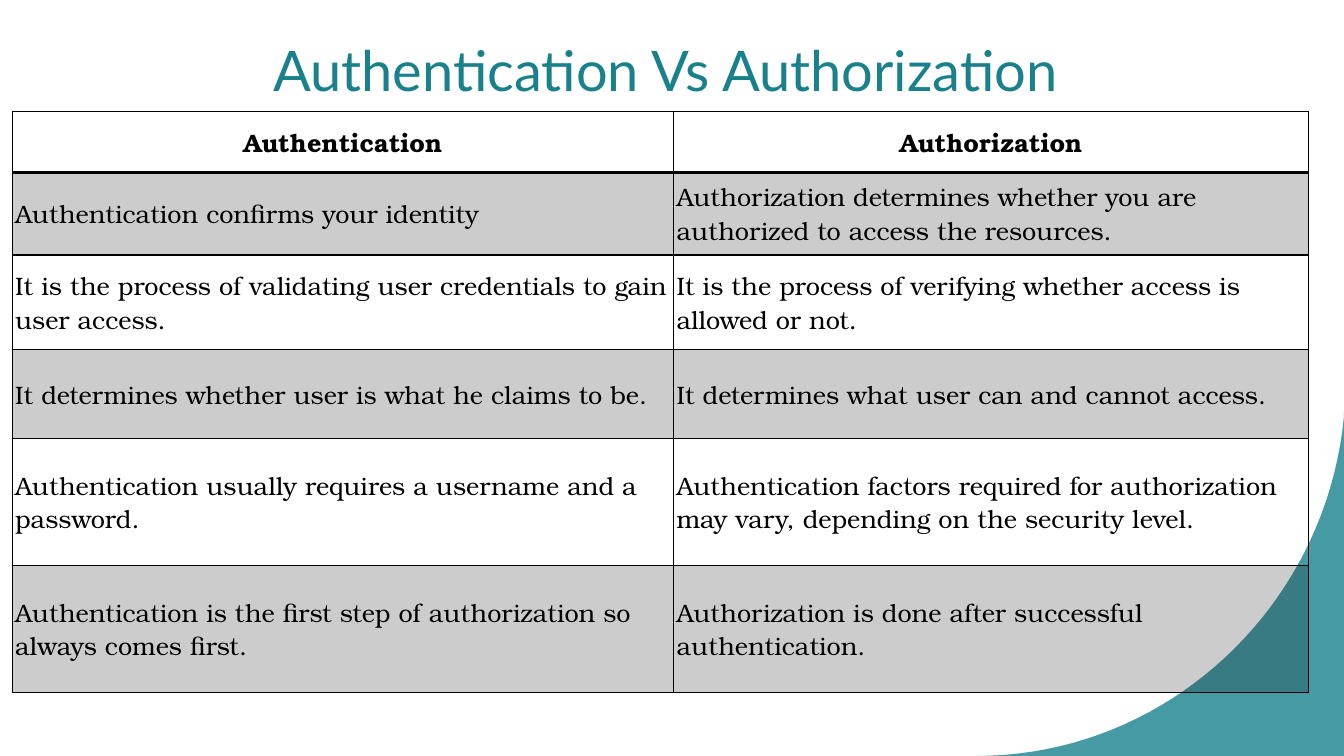
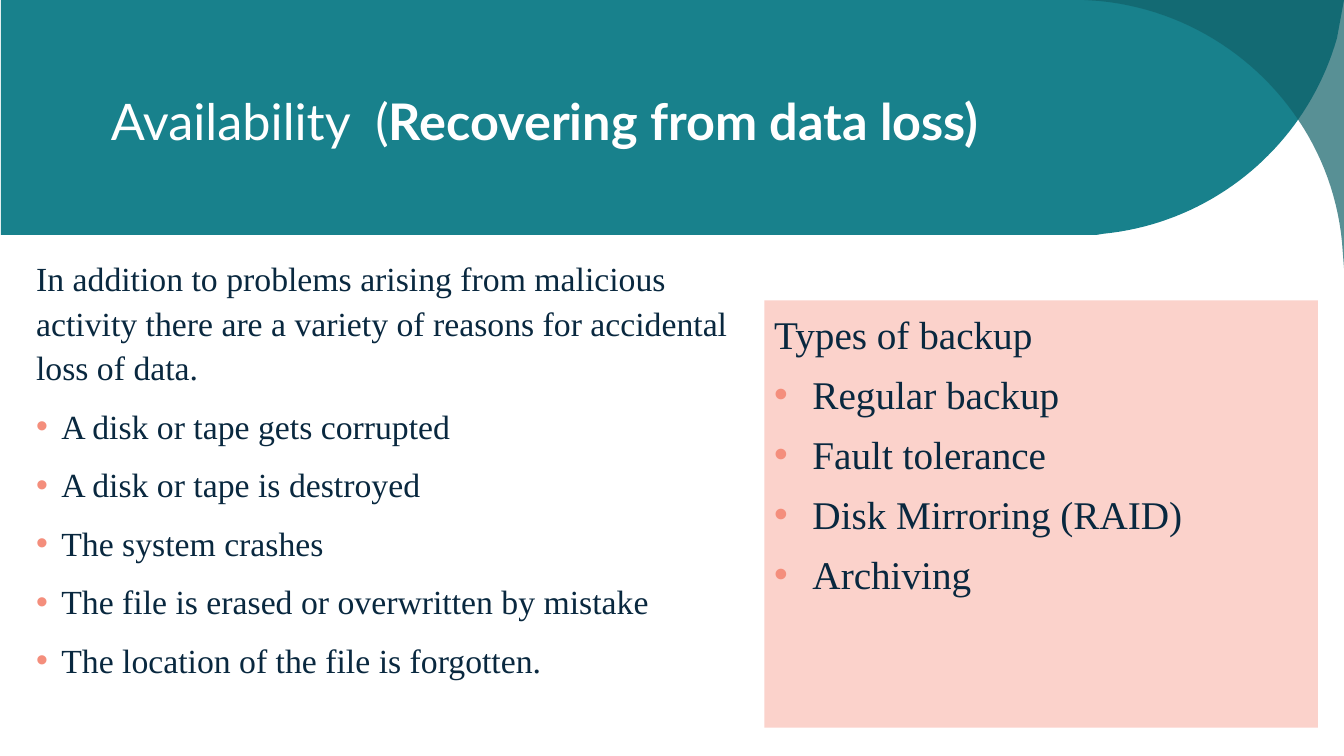
from dataclasses import dataclass

from lxml import etree
from pptx import Presentation
from pptx import util as u
from pptx.dml import color
from pptx.enum import shapes, text
from pptx.oxml import ns

COLORS = {
    "teal": "18818C",
    "dark_teal": "126169",
    "coral": "F48E7C",
    "pink": "FBD2CB",
    "navy": "09283F",
    "white": "FFFFFF",
    "black": "000000",
}
TITLE_FONT = "Lato"
TABLE_FONT = "TeX Gyre Bonum"
BODY_FONT = "Times New Roman"

Point = tuple[float, float]

COMPARISON = [
    ("Authentication", "Authorization"),
    ("Authentication confirms your identity",
     "Authorization determines whether you are authorized to access the resources."),
    ("It is the process of validating user credentials to gain user access.",
     "It is the process of verifying whether access is allowed or not."),
    ("It determines whether user is what he claims to be.",
     "It determines what user can and cannot access."),
    ("Authentication usually requires a username and a password.",
     "Authentication factors required for authorization may vary, depending on the security level."),
    ("Authentication is the first step of authorization so always comes first.",
     "Authorization is done after successful authentication."),
]
COLUMN_WIDTHS = (6.56, 6.3)
ROW_HEIGHTS = (0.6, 0.82, 0.94, 0.88, 1.26, 1.26)


@dataclass(frozen=True)
class Box:
    left: float
    top: float
    width: float
    height: float

    def lengths(self) -> list[u.Length]:
        return [u.Inches(v) for v in (self.left, self.top, self.width, self.height)]


@dataclass(frozen=True)
class TextStyle:
    font: str
    size: float
    color: str
    bold: bool = False


@dataclass(frozen=True)
class BulletList:
    lead: str
    items: tuple[str, ...]
    size: float
    indent: float
    before: float = 0
    after: float = 0


@dataclass(frozen=True)
class Swoosh:
    outline: tuple[Point, ...]
    color: str
    opacity: int = 100


def curve(start: Point, control_a: Point, control_b: Point, end: Point,
          steps: int = 40) -> tuple[Point, ...]:
    def at(t: float) -> Point:
        weights = ((1 - t) ** 3, 3 * t * (1 - t) ** 2, 3 * t * t * (1 - t), t ** 3)
        points = (start, control_a, control_b, end)
        return (sum(w * p[0] for w, p in zip(weights, points)),
                sum(w * p[1] for w, p in zip(weights, points)))

    return tuple(at(step / steps) for step in range(steps + 1))


CORNER = Swoosh(
    ((13.33, 4.08), (13.33, 7.5))
    + curve((9.68, 7.5), (11.58, 7.5), (13.15, 6.02), (13.33, 4.13)),
    "teal", 80)
BANNER = Swoosh(
    ((13.33, 0), (0.01, 0), (0.01, 2.33), (10.88, 2.33))
    + curve((10.94, 2.32), (12.05, 2.21), (12.96, 1.43), (13.26, 0.38)),
    "teal")
BANNER_FOLD = Swoosh(
    ((10.75, 0), (13.33, 0), (13.33, 2.66))
    + curve((13.31, 2.4), (13.19, 1.14), (12.17, 0.13), (10.9, 0.01)),
    "dark_teal", 70)

DATA_LOSS = BulletList(
    "In addition to problems arising from malicious activity there are a variety "
    "of reasons for accidental loss of data.",
    ("A disk or tape gets corrupted",
     "A disk or tape is destroyed",
     "The system crashes",
     "The file is erased or overwritten by mistake",
     "The location of the file is forgotten."),
    size=24.1, indent=0.25, before=10)
BACKUP_TYPES = BulletList(
    "Types of backup",
    ("Regular backup", "Fault tolerance", "Disk Mirroring (RAID)", "Archiving"),
    size=28, indent=0.38, after=6)


def rgb(name: str) -> color.RGBColor:
    return color.RGBColor.from_string(COLORS[name])


def add_child(parent, tag: str, **attributes: str):
    child = etree.SubElement(parent, ns.qn(tag))
    for key, value in attributes.items():
        child.set(key, value)
    return child


def fill_solid(fill, name: str, opacity: int = 100) -> None:
    fill.solid()
    fill.fore_color.rgb = rgb(name)
    if opacity < 100:
        srgb = next(fill._xPr.iter(ns.qn("a:srgbClr")))
        add_child(srgb, "a:alpha", val=str(opacity * 1000))


def style_run(run, style: TextStyle) -> None:
    run.font.name = style.font
    run.font.size = u.Pt(style.size)
    run.font.bold = style.bold
    run.font.color.rgb = rgb(style.color)


def draw_swoosh(slide, swoosh: Swoosh) -> None:
    first, *rest = [(u.Inches(x), u.Inches(y)) for x, y in swoosh.outline]
    builder = slide.shapes.build_freeform(*first)
    builder.add_line_segments(rest, close=True)
    shape = builder.convert_to_shape()
    shape.shadow.inherit = False
    shape.line.fill.background()
    fill_solid(shape.fill, swoosh.color, swoosh.opacity)


def add_title(slide, box: Box, parts: list[tuple[str, bool]], size: float, ink: str,
              alignment: text.PP_ALIGN, spacing: float = 1.0) -> None:
    frame = slide.shapes.add_textbox(*box.lengths()).text_frame
    frame.word_wrap = True
    frame.vertical_anchor = text.MSO_ANCHOR.MIDDLE
    paragraph = frame.paragraphs[0]
    paragraph.alignment = alignment
    paragraph.line_spacing = spacing
    for words, bold in parts:
        run = paragraph.add_run()
        run.text = words
        style_run(run, TextStyle(TITLE_FONT, size, ink, bold))


def write_bullets(frame, bullets: BulletList) -> None:
    frame.word_wrap = True
    frame.vertical_anchor = text.MSO_ANCHOR.TOP
    frame.text = "\n".join((bullets.lead, *bullets.items))
    indent = u.Inches(bullets.indent)
    for index, paragraph in enumerate(frame.paragraphs):
        paragraph.alignment = text.PP_ALIGN.LEFT
        paragraph.line_spacing = 1.1
        paragraph.space_before = u.Pt(bullets.before)
        paragraph.space_after = u.Pt(bullets.after)
        style_run(paragraph.runs[0], TextStyle(BODY_FONT, bullets.size, "navy"))
        if index:
            properties = paragraph._p.get_or_add_pPr()
            properties.set("marL", str(indent))
            properties.set("indent", str(-indent))
            add_child(add_child(properties, "a:buClr"), "a:srgbClr", val=COLORS["coral"])
            add_child(properties, "a:buFont", typeface="Arial")
            add_child(properties, "a:buChar", char="•")


def set_borders(cell, top: float, bottom: float) -> None:
    properties = cell._tc.get_or_add_tcPr()
    widths = {"a:lnL": 1, "a:lnR": 1, "a:lnT": top, "a:lnB": bottom}
    for position, (tag, width) in enumerate(widths.items()):
        border = add_child(properties, tag, w=str(u.Pt(width)))
        add_child(add_child(border, "a:solidFill"), "a:srgbClr", val=COLORS["black"])
        properties.insert(position, border)


def format_cell(cell, row: int) -> None:
    is_header = row == 0
    cell.margin_left = cell.margin_right = u.Inches(0.03)
    cell.margin_top = cell.margin_bottom = u.Inches(0.02)
    cell.vertical_anchor = text.MSO_ANCHOR.MIDDLE
    paragraph = cell.text_frame.paragraphs[0]
    paragraph.alignment = text.PP_ALIGN.CENTER if is_header else text.PP_ALIGN.LEFT
    style_run(paragraph.runs[0], TextStyle(TABLE_FONT, 18, "black", is_header))
    if row % 2:
        fill_solid(cell.fill, "black", 20)
    else:
        cell.fill.background()
    set_borders(cell, top=2 if row == 1 else 1, bottom=2 if is_header else 1)


def add_comparison(slide) -> None:
    box = Box(0.12, 1.11, sum(COLUMN_WIDTHS), sum(ROW_HEIGHTS))
    table = slide.shapes.add_table(len(COMPARISON), len(COLUMN_WIDTHS), *box.lengths()).table
    table.first_row = False
    table.horz_banding = False
    for column, width in zip(table.columns, COLUMN_WIDTHS):
        column.width = u.Inches(width)
    for row, (height, entries) in enumerate(zip(ROW_HEIGHTS, COMPARISON)):
        table.rows[row].height = u.Inches(height)
        for column, entry in enumerate(entries):
            cell = table.cell(row, column)
            cell.text_frame.text = entry
            format_cell(cell, row)


def build_comparison_slide(slide) -> None:
    draw_swoosh(slide, CORNER)
    add_title(slide, Box(1.09, 0, 11.16, 1.45), [("Authentication Vs Authorization ", False)],
              40, "teal", text.PP_ALIGN.CENTER, 0.9)
    add_comparison(slide)


def build_availability_slide(slide) -> None:
    draw_swoosh(slide, BANNER)
    draw_swoosh(slide, BANNER_FOLD)
    add_title(slide, Box(1, 0.56, 10.22, 1.26),
              [("Availability  (", False), ("Recovering from data loss)", True)],
              36, "white", text.PP_ALIGN.LEFT)
    causes = slide.shapes.add_textbox(*Box(0.26, 2.47, 7.32, 4.57).lengths())
    write_bullets(causes.text_frame, DATA_LOSS)
    backup_panel = slide.shapes.add_shape(
        shapes.MSO_SHAPE.RECTANGLE, *Box(7.58, 2.98, 5.49, 4.24).lengths())
    backup_panel.shadow.inherit = False
    backup_panel.line.fill.background()
    fill_solid(backup_panel.fill, "pink")
    write_bullets(backup_panel.text_frame, BACKUP_TYPES)


def main() -> None:
    deck = Presentation()
    deck.slide_width = u.Inches(13.33)
    deck.slide_height = u.Inches(7.5)
    blank = deck.slide_layouts[6]
    for build in (build_comparison_slide, build_availability_slide):
        build(deck.slides.add_slide(blank))
    deck.save("out.pptx")


if __name__ == "__main__":
    main()
